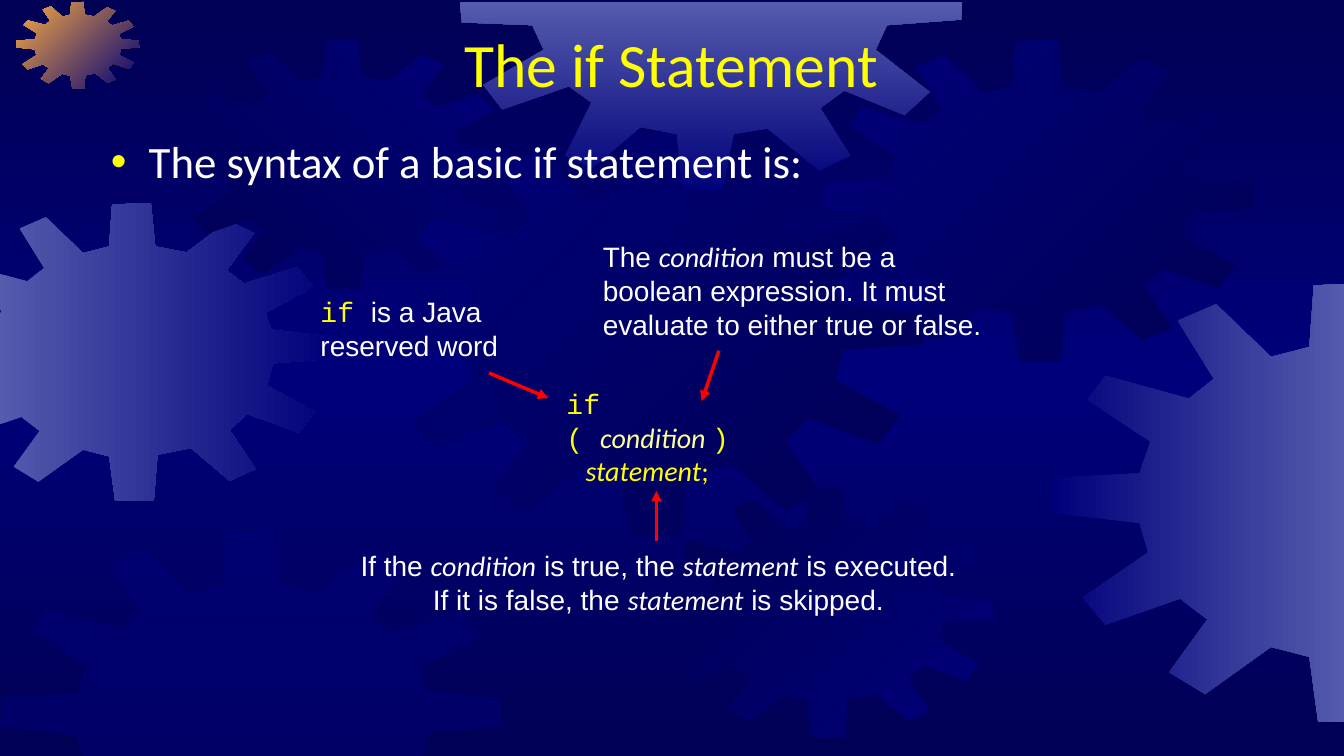
import copy

import pptx
import pptx.dml.color
import pptx.enum.shapes
import pptx.enum.text
import pptx.oxml
import pptx.oxml.ns
import pptx.util
from pptx.util import Inches

NAVY, BLUE, HAZE, ORANGE = "000054", "00007A", "555BAD", "FCAB40"
YELLOW, PALE, WHITE, RED = "FFFF00", "FFFF99", "FFFFFF", "FF0000"

TITLE = "The if Statement"
BULLET = "The syntax of a basic if statement is:"

STYLES = {
    "plain": ({"name": "Arial"}, WHITE),
    "term": ({"name": "Calibri", "italic": True}, WHITE),
    "code": ({"name": "Courier New"}, YELLOW),
    "slot": ({"name": "Calibri", "italic": True}, PALE),
    "body": ({"name": "Calibri", "italic": True}, YELLOW),
    "mark": ({"name": "Calibri"}, YELLOW),
}

SYNTAX_BOX = (5.52, 3.95, 2.23, 0.77)
SYNTAX = [
    [("code", "if ( "), ("slot", "condition "), ("code", ")")],
    [("body", "statement"), ("mark", ";")],
]
STATEMENT_INDENT = 0.19

# text box, centred, lines, arrow start, arrow end
NOTES = [
    ((3.08, 2.87, 1.98, 0.77), False,
     [[("code", "if "), ("plain", "is a Java")], [("plain", "reserved word")]],
     (4.85, 3.7), (5.44, 3.95)),
    ((5.88, 2.33, 4.59, 1.1), False,
     [[("plain", "The "), ("term", "condition"), ("plain", " must be a")],
      [("plain", "boolean expression. It must")],
      [("plain", "evaluate to either true or false.")]],
     (7.13, 3.48), (6.96, 3.98)),
    ((3.45, 5.39, 6.16, 0.77), True,
     [[("plain", "If the "), ("term", "condition"), ("plain", " is true, the "),
       ("term", "statement"), ("plain", " is executed.")],
      [("plain", "If it is false, the "), ("term", "statement"), ("plain", " is skipped.")]],
     (6.51, 5.37), (6.51, 4.87)),
]

GEAR_FRAME = (3.8, 1.31, 5.35, 4.01)
GEAR_OUTLINE = [
    (7.2, 1.98), (6.78, 1.9), (6.72, 1.31), (6.2, 1.34), (6.16, 1.9), (5.81, 1.99),
    (5.31, 1.51), (4.96, 1.66), (5.29, 2.19), (5.06, 2.37), (4.3, 2.16), (4.13, 2.38),
    (4.71, 2.76), (4.61, 3.05), (3.82, 3.09), (3.8, 3.41), (4.61, 3.5), (4.69, 3.77),
    (4.09, 4.18), (4.3, 4.43), (4.98, 4.19), (5.23, 4.38), (4.88, 4.86), (5.21, 5.06),
    (5.81, 4.63), (6.16, 4.72), (6.24, 5.31), (6.76, 5.32), (6.81, 4.7), (7.26, 4.61),
    (7.78, 5.05), (8.13, 4.89), (7.78, 4.37), (8.01, 4.15), (8.71, 4.4), (8.92, 4.12),
    (8.28, 3.77), (8.36, 3.47), (9.15, 3.41), (9.13, 3.11), (8.34, 3.02), (8.26, 2.79),
    (8.9, 2.45), (8.69, 2.18), (7.97, 2.4), (7.74, 2.22), (8.11, 1.72), (7.76, 1.56),
]
# whole gear frame, colours, clockwise gradient angle, cut (axis, side kept, limit), rotation
GEARS = [
    ((-0.66, 2.01, 3.95, 2.96), (HAZE, BLUE), 0, (0, 1, -0.02), 0),
    ((0.16, 0.02, 1.22, 0.86), (ORANGE, BLUE), 45, None, 0),
    ((1.74, 0.39, 3.31, 2.48), (NAVY, BLUE), 315, None, 0),
    (GEAR_FRAME, (BLUE, NAVY), 45, None, 0),
    ((0, 5.25, 4.99, 3.75), (BLUE,), 0, (1, -1, 7.54), 0),
    ((6.55, 4.84, 3.3, 2.48), (NAVY, BLUE), 45, None, 0),
    ((8.16, 0.39, 4.27, 3.2), (BLUE, NAVY), 45, None, 0),
    ((10.42, 2.8, 5.82, 4.37), (BLUE, HAZE), 0, (0, -1, 13.35), 0),
    ((6.11, -1.55, 3.73, 5), (BLUE, HAZE), 0, (0, -1, 7.99), 270),
]


def colour(value):
    return pptx.dml.color.RGBColor.from_string(value)


def put(target, values):
    """Set every attribute named in values."""
    for name, value in values.items():
        setattr(target, name, value)


def child(parent, tag, **attributes):
    element = parent.makeelement(pptx.oxml.ns.qn(tag), attributes)
    parent.append(element)
    return element


def cut_outline(points, axis, side, limit):
    """Keep the part of a polygon on one side of a straight edge."""
    kept = []
    for start, end in zip(points, points[1:] + points[:1]):
        inside = [side * (point[axis] - limit) >= 0 for point in (start, end)]
        if inside[0]:
            kept.append(start)
        if inside[0] != inside[1]:
            share = (limit - start[axis]) / (end[axis] - start[axis])
            kept.append(tuple(a + share * (b - a) for a, b in zip(start, end)))
    return kept


def shade(fill, colours, angle):
    fill.gradient()
    fill.gradient_angle = (360 - angle) % 360
    for stop, value, position in zip(fill.gradient_stops, colours, (0, 1)):
        stop.color.rgb = colour(value)
        stop.position = position


def add_gear(page, frame, colours, angle, cut, rotation):
    points = [tuple(frame[k] + (point[k] - GEAR_FRAME[k]) * frame[k + 2] / GEAR_FRAME[k + 2]
                    for k in (0, 1)) for point in GEAR_OUTLINE]
    if cut:
        points = cut_outline(points, *cut)
    corners = [(Inches(x), Inches(y)) for x, y in points]
    builder = page.shapes.build_freeform(*corners[0])
    builder.add_line_segments(corners[1:], close=True)
    gear = builder.convert_to_shape()
    gear.shadow.inherit = False
    gear.line.fill.background()
    gear.rotation = rotation
    if len(colours) > 1:
        shade(gear.fill, colours, angle)
    else:
        gear.fill.solid()
        gear.fill.fore_color.rgb = colour(colours[0])
        tint = gear.element.find(".//" + pptx.oxml.ns.qn("a:srgbClr"))
        child(tint, "a:alpha", val="50000")


def write(para, text, size, formats, value):
    span = para.add_run()
    span.text = text
    put(span.font, {"size": pptx.util.Pt(size), **formats})
    span.font.color.rgb = colour(value)


def add_text(shapes, place, lines, centred=False):
    frame = shapes.add_textbox(*map(Inches, place)).text_frame
    put(frame, {"word_wrap": True, "vertical_anchor": pptx.enum.text.MSO_ANCHOR.MIDDLE})
    for number, spans in enumerate(lines):
        para = frame.add_paragraph() if number else frame.paragraphs[0]
        if centred:
            para.alignment = pptx.enum.text.PP_ALIGN.CENTER
        for style, text in spans:
            write(para, text, 20, *STYLES[style])
    return frame


def add_arrow(shapes, start, end):
    straight = pptx.enum.shapes.MSO_CONNECTOR.STRAIGHT
    arrow = shapes.add_connector(straight, *map(Inches, start + end))
    arrow.line.width = pptx.util.Pt(2.5)
    arrow.line.color.rgb = colour(RED)
    child(arrow.line._get_or_add_ln(), "a:tailEnd", type="triangle")
    child(arrow.element.spPr, "a:effectLst")


def fill_placeholder(page, holder, place, text, size, value):
    put(holder, dict(zip(("left", "top", "width", "height"), map(Inches, place))))
    para = holder.text_frame.paragraphs[0]
    write(para, text, size, {"name": "Calibri"}, value)
    page.shapes.element.append(holder.element)  # bring in front of the gears
    return para


def main():
    deck = pptx.Presentation()
    put(deck, {"slide_width": Inches(13.33), "slide_height": Inches(7.5)})
    page = deck.slides.add_slide(deck.slide_layouts[1])

    backdrop = page.background.fill
    shade(backdrop, (NAVY, NAVY), 90)
    first = page.element.find(".//" + pptx.oxml.ns.qn("a:gs"))
    first.addnext(copy.deepcopy(first))
    middle = backdrop.gradient_stops[1]
    middle.position = 0.5
    middle.color.rgb = colour(BLUE)

    for gear in GEARS:
        add_gear(page, *gear)

    title, body = page.shapes.title, page.placeholders[1]
    fill_placeholder(page, title, (1, 0.26, 11.32, 0.72), TITLE, 44, YELLOW)
    bullet = fill_placeholder(page, body, (1, 1.28, 11.99, 4.94), BULLET, 32, WHITE)
    tint = child(bullet._p.get_or_add_pPr(), "a:buClr")
    child(tint, "a:srgbClr", val=YELLOW)

    syntax = add_text(page.shapes, SYNTAX_BOX, SYNTAX)
    statement = syntax.paragraphs[1]._p.get_or_add_pPr()
    statement.set("marL", str(Inches(STATEMENT_INDENT)))

    for place, centred, lines, start, end in NOTES:
        group = page.shapes.add_group_shape()
        add_text(group.shapes, place, lines, centred)
        add_arrow(group.shapes, start, end)

    deck.save("out.pptx")


if __name__ == "__main__":
    main()
